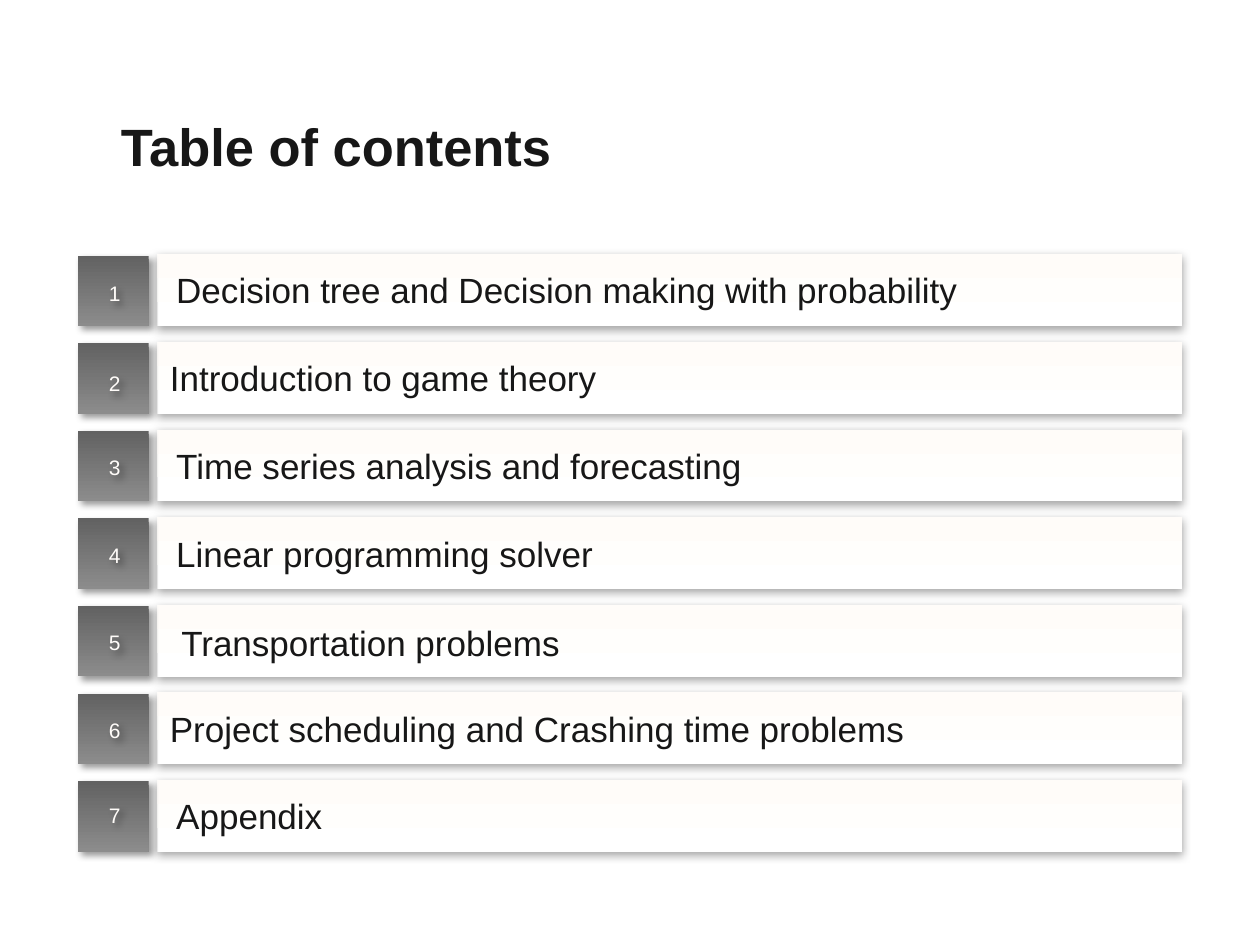
from lxml import etree
from pptx import Presentation, util as u
from pptx.dml.color import RGBColor
from pptx.enum import shapes, text
from pptx.oxml.ns import qn

TITLE = "Table of contents"
# label, label offset from its bar (None: inside the bar), label width, number offset
ENTRIES = [
    ("Decision tree and Decision making with probability", (0.05, 0.06), 6.49, 0.16),
    ("Introduction to game theory", None, None, 0.18),
    ("Time series analysis and forecasting", (0.05, 0.07), 6.49, 0.15),
    ("Linear programming solver", (0.05, 0.07), 6.49, 0.15),
    ("Transportation problems", (0.09, 0.08), 7.95, 0.15),
    ("Project scheduling and Crashing time problems", None, None, 0.15),
    ("Appendix", (0.05, 0.07), 7.95, 0.13),
]
THEME = {
    "title": {"name": "Arial", "size": 30, "color": "171717", "bold": True},
    "label": {"name": "Arial", "size": 20, "color": "171717", "bold": False},
    "number": {"name": "Arial", "size": 12, "color": "FFFCF9", "bold": False},
    "bar": {"stops": ("FFFFFF", "FFFCF9"), "angle": 90, "shadow": (35, 5, 1.8, 90)},
    "badge": {"stops": ("626262", "8C8C8C"), "angle": 270, "shadow": (40, 4, 3, 45)},
}
FIRST_TOP, PITCH = 2.02, 0.695
BAR_LEFT, BAR_WIDTH, BAR_HEIGHT = 1.25, 8.13, 0.57
BADGE_LEFT, BADGE_SIZE = 0.62, 0.56


def add_shadow(shape, alpha, blur, distance, direction):
    """Give a shape a soft black outer shadow."""
    shape.shadow.inherit = False
    effects = shape._element.spPr.find(qn("a:effectLst"))
    outer = etree.SubElement(effects, qn("a:outerShdw"), {
        "blurRad": str(u.Pt(blur)), "dist": str(u.Pt(distance)),
        "dir": str(direction * 60000), "algn": "ctr", "rotWithShape": "0"})
    color = etree.SubElement(outer, qn("a:srgbClr"), val="000000")
    etree.SubElement(color, qn("a:alpha"), val=str(alpha * 1000))


def add_panel(page, left, top, width, height, style):
    """Add a borderless gradient rectangle with a shadow."""
    panel = page.shapes.add_shape(
        shapes.MSO_SHAPE.RECTANGLE, *map(u.Inches, (left, top, width, height)))
    panel.line.fill.background()
    panel.fill.gradient()
    panel.fill.gradient_angle = style["angle"]
    for stop, color in zip(panel.fill.gradient_stops, style["stops"]):
        stop.color.rgb = RGBColor.from_string(color)
    for stop, position in zip(panel.fill.gradient_stops, (0, 1)):
        stop.position = position
    add_shadow(panel, *style["shadow"])
    return panel


def write(shape, words, style, align=text.PP_ALIGN.LEFT, **frame_format):
    """Write one styled paragraph into a shape."""
    frame = shape.text_frame
    for name, value in {"word_wrap": True, **frame_format}.items():
        setattr(frame, name, value)
    para = frame.paragraphs[0]
    para.alignment = align
    span = para.add_run()
    span.text = words
    font_format = {"name": style["name"], "size": u.Pt(style["size"]), "bold": style["bold"]}
    for name, value in font_format.items():
        setattr(span.font, name, value)
    span.font.color.rgb = RGBColor.from_string(style["color"])
    return para


def add_text(page, left, top, width, height, words, style, **options):
    """Add a text box holding one paragraph."""
    box = page.shapes.add_textbox(*map(u.Inches, (left, top, width, height)))
    return box, write(box, words, style, **options)


def main():
    """Build the contents slide."""
    deck = Presentation()
    deck.slide_width, deck.slide_height = u.Inches(10), u.Inches(7.5)
    page = deck.slides.add_slide(deck.slide_layouts[6])
    grow = {"auto_size": text.MSO_AUTO_SIZE.SHAPE_TO_FIT_TEXT}
    middle = {"vertical_anchor": text.MSO_ANCHOR.MIDDLE}

    _, heading = add_text(page, 0.96, 0.85, 3.85, 0.66, TITLE, THEME["title"],
                          margin_left=0, margin_right=0, **middle)
    heading.line_spacing = 0.95

    for index, (label, offset, width, number_drop) in enumerate(ENTRIES):
        top = FIRST_TOP + index * PITCH
        bar = add_panel(page, BAR_LEFT, top, BAR_WIDTH, BAR_HEIGHT, THEME["bar"])
        if offset is None:
            write(bar, label, THEME["label"], **middle)
        else:
            add_text(page, BAR_LEFT + offset[0], top + offset[1], width, 0.44,
                     label, THEME["label"], **grow)
        add_panel(page, BADGE_LEFT, top + 0.01, BADGE_SIZE, BADGE_SIZE, THEME["badge"])
        number, _ = add_text(page, 0.65, top + number_drop, 0.52, 0.3, str(index + 1),
                             THEME["number"], align=text.PP_ALIGN.CENTER, **grow)
        add_shadow(number, *THEME["badge"]["shadow"])

    deck.save("out.pptx")


if __name__ == "__main__":
    main()
